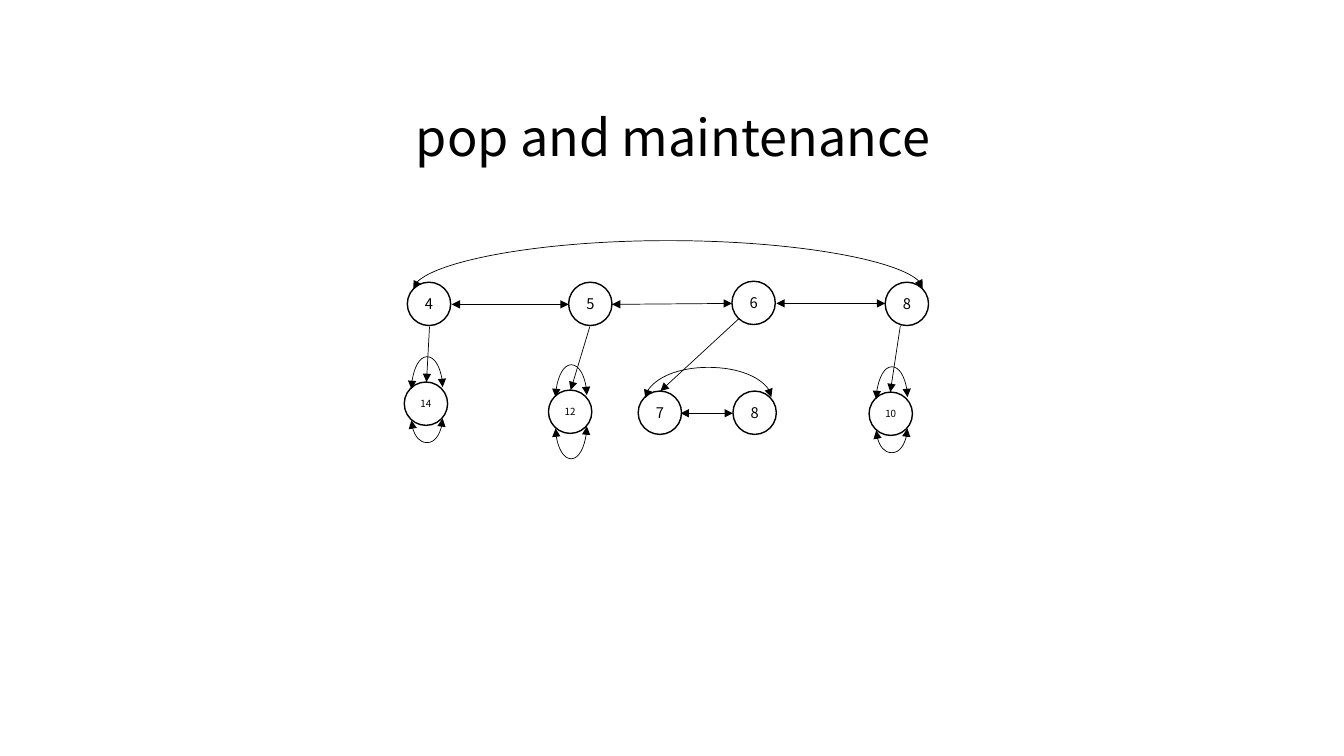
"""Build the slide showing a heap of linked lists after pop and maintenance."""
from dataclasses import dataclass

from lxml import etree
from pptx import Presentation
from pptx.dml.color import RGBColor
from pptx.enum.shapes import MSO_CONNECTOR, MSO_SHAPE
from pptx.enum.text import MSO_ANCHOR, PP_ALIGN
from pptx.oxml.ns import qn
from pptx.util import Inches, Pt

BLACK = RGBColor(0, 0, 0)
WHITE = RGBColor(255, 255, 255)
FONT = "Noto Sans CJK SC"
CIRCLE = MSO_SHAPE.FLOWCHART_CONNECTOR
STRAIGHT = MSO_CONNECTOR.STRAIGHT
CURVE = MSO_CONNECTOR.CURVE
CENTER = PP_ALIGN.CENTER
MIDDLE = MSO_ANCHOR.MIDDLE
BOTTOM = MSO_ANCHOR.BOTTOM
SIZE = 0.43
FLAT = {"margin_left": 0, "margin_right": 0, "margin_top": 0,
        "margin_bottom": 0, "word_wrap": False, "vertical_anchor": MIDDLE}
HEAD = {"word_wrap": True, "vertical_anchor": BOTTOM}


@dataclass
class Node:
    label: str
    left: float
    top: float
    size: float = 10.5


@dataclass
class Link:
    x1: float
    y1: float
    x2: float
    y2: float
    both: bool = True


@dataclass
class Arc(Link):
    peak: float = 0


@dataclass
class Ring(Node):
    size: float = 7
    drop: float = 0.6


RINGS = [
    Ring("14", 4.01, 3.79),
    Ring("12", 5.44, 3.87, drop=0.68),
    Ring("10", 8.62, 3.89),
]
NODES = [
    Node("4", 4.04, 2.8),
    Node("5", 5.64, 2.8),
    Node("6", 7.26, 2.79),
    Node("8", 8.78, 2.8),
    Node("7", 6.33, 3.88),
    Node("8", 7.27, 3.88),
]
LINKS = [
    Link(4.48, 3.02, 5.64, 3.02),
    Link(6.07, 3.02, 7.26, 3.01),
    Link(7.7, 3.01, 8.78, 3.01),
    Link(6.75, 4.1, 7.27, 4.1),
    Link(4.26, 3.24, 4.23, 3.79, False),
    Link(5.85, 3.24, 5.66, 3.87, False),
    Link(7.33, 3.16, 6.55, 3.88, False),
    Link(8.93, 3.23, 8.83, 3.89, False),
]
ARCS = [
    Arc(4.1, 2.87, 9.15, 2.86, peak=2.38),
    Arc(6.4, 3.95, 7.65, 3.94, peak=3.64),
]


def write(shape, text: str, size: float, form: dict) -> None:
    """Put centred black text in a shape."""
    frame = shape.text_frame
    for name, value in form.items():
        setattr(frame, name, value)
    para = frame.paragraphs[0]
    para.alignment = CENTER
    run = para.add_run()
    run.text = text
    for name, value in {"name": FONT, "size": Pt(size)}.items():
        setattr(run.font, name, value)
    run.font.color.rgb = BLACK


def add_title(slide) -> None:
    """Add the slide title."""
    box = slide.shapes.add_textbox(
        Inches(3.69), Inches(0.72), Inches(5.97), Inches(0.99))
    write(box, "pop and maintenance", 36, HEAD)
    box.text_frame.paragraphs[0].line_spacing = 0.9


def add_node(slide, node: Node) -> None:
    """Add a numbered circle."""
    dot = slide.shapes.add_shape(
        CIRCLE, Inches(node.left), Inches(node.top), Inches(SIZE), Inches(SIZE))
    dot.shadow.inherit = False
    dot.fill.solid()
    dot.fill.fore_color.rgb = WHITE
    dot.line.color.rgb = BLACK
    dot.line.width = Pt(1)
    write(dot, node.label, node.size, FLAT)


def add_line(slide, kind, link: Link):
    """Add a thin connector with its arrowheads."""
    line = slide.shapes.add_connector(
        kind, Inches(link.x1), Inches(link.y1), Inches(link.x2), Inches(link.y2))
    line.line.color.rgb = BLACK
    line.line.width = Pt(0.5)
    ends = ["a:headEnd", "a:tailEnd"] if link.both else ["a:tailEnd"]
    for end in ends:
        etree.SubElement(line.line._ln, qn(end), type="triangle")
    etree.SubElement(line._element.spPr, qn("a:effectLst"))
    return line


def add_arc(slide, arc: Arc) -> None:
    """Add a curve that is turned a quarter so that it bulges up or down."""
    mid_x, mid_y = (arc.x1 + arc.x2) / 2, (arc.y1 + arc.y2) / 2
    half_x, half_y = (arc.x2 - arc.x1) / 2, (arc.y2 - arc.y1) / 2
    turned = Link(mid_x - half_y, mid_y + half_x, mid_x + half_y, mid_y - half_x)
    props = add_line(slide, CURVE, turned)._element.spPr
    props.find(qn("a:xfrm")).set("rot", "5400000")
    bulge = round((arc.peak - arc.y1) / (arc.y2 - arc.y1) * 100000)
    guides = props.find(qn("a:prstGeom")).get_or_add_avLst()
    etree.SubElement(guides, qn("a:gd"), name="adj1", fmla=f"val {bulge}")


def add_loops(slide, ring: Ring) -> None:
    """Add the two curves that link a lone node to itself."""
    near, far, top = ring.left + 0.07, ring.left + 0.38, ring.top
    add_arc(slide, Arc(near, top + 0.07, far, top + 0.05, peak=top - 0.25))
    add_arc(slide, Arc(far, top + 0.36, near, top + 0.38, peak=top + ring.drop))


def main() -> None:
    """Draw the slide and save it."""
    deck = Presentation()
    deck.slide_width, deck.slide_height = Inches(13.33), Inches(7.5)
    slide = deck.slides.add_slide(deck.slide_layouts[6])
    add_title(slide)
    for node in NODES + RINGS:
        add_node(slide, node)
    for link in LINKS:
        add_line(slide, STRAIGHT, link)
    for arc in ARCS:
        add_arc(slide, arc)
    for ring in RINGS:
        add_loops(slide, ring)
    deck.save("out.pptx")


if __name__ == "__main__":
    main()
